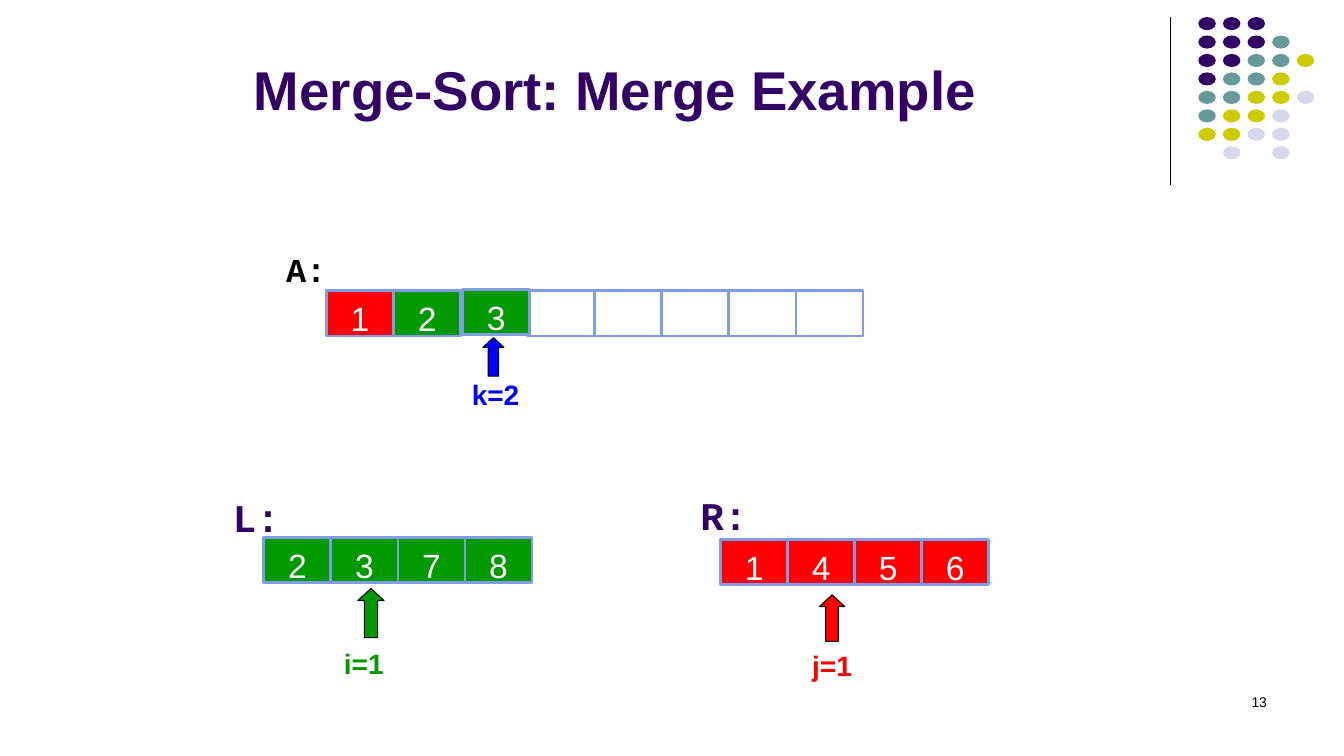
from lxml.etree import SubElement
from pptx import Presentation
from pptx.dml.color import RGBColor
from pptx.enum.shapes import MSO_CONNECTOR, MSO_SHAPE as SHAPE
from pptx.enum.text import MSO_ANCHOR as ANCHOR, PP_ALIGN as ALIGN
from pptx.oxml.ns import qn
from pptx.util import Cm, Pt

PURPLE, TEAL, OLIVE, LILAC = "330066", "669999", "CCCC00", "D8D8EC"
RED, GREEN, BLUE, WHITE, BLACK = "FF0000", "009900", "0000FF", "FFFFFF", "000000"
CELL_LINE = "7E9CE8"
CELL_W, CELL_H = 1.69, 1.15


def add_block(kind, x, y, w, h, fill, line=None, line_width=0.75):
    sp = s.shapes.add_shape(kind, Cm(x), Cm(y), Cm(w), Cm(h))
    sp.shadow.inherit = False
    sp.fill.solid()
    sp.fill.fore_color.rgb = RGBColor.from_string(fill)
    if line:
        sp.line.color.rgb = RGBColor.from_string(line)
        sp.line.width = Pt(line_width)
    else:
        sp.line.fill.background()
    return sp


def write(text, box=None, sp=None, size=24, color=WHITE, bold=False, font="Arial",
          align=ALIGN.CENTER, anchor=ANCHOR.TOP, side=0.25, top=0.13, bottom=0.13):
    """Write into the shape sp, or into a new text box at box (x, y, w, h)."""
    sp = sp or s.shapes.add_textbox(*[Cm(v) for v in box])
    tf = sp.text_frame
    tf.word_wrap = True
    tf.vertical_anchor = anchor
    tf.margin_left = tf.margin_right = Cm(side)
    tf.margin_top, tf.margin_bottom = Cm(top), Cm(bottom)
    p = tf.paragraphs[0]
    p.alignment = align
    r = p.add_run()
    r.text = text
    r.font.name, r.font.size, r.font.bold = font, Pt(size), bold
    r.font.color.rgb = RGBColor.from_string(color)


prs = Presentation()
prs.slide_width, prs.slide_height = Cm(33.87), Cm(19.05)
s = prs.slides.add_slide(prs.slide_layouts[6])

# Corner decoration: a rule and a grid of dots
rule = s.shapes.add_connector(MSO_CONNECTOR.STRAIGHT, Cm(29.49), Cm(0.43), Cm(29.49), Cm(4.65))
rule.line.color.rgb = RGBColor.from_string(BLACK)
rule.line.width = Pt(0.75)
SubElement(rule._element.spPr, qn("a:effectLst"))

dot_colors = {"P": PURPLE, "T": TEAL, "O": OLIVE, "L": LILAC}
dot_rows = ["PPP", "PPPT", "PPTTO", "PTTO", "TTOOL", "TOOL", "OOLL", ".L.L"]
for row, dots in enumerate(dot_rows):
    for col, dot in enumerate(dots):
        if dot in dot_colors:
            add_block(SHAPE.OVAL, 30.2 + col * 0.62, 0.43 + row * 0.465, 0.44, 0.33,
                      dot_colors[dot])

write("13", box=(24.28, 17.35, 7.9, 1.27), size=10, color=BLACK, align=ALIGN.RIGHT)
write("Merge-Sort: Merge Example", box=(6.15, 0, 21.59, 3.18), size=39, color=PURPLE,
      bold=True, align=ALIGN.LEFT, anchor=ANCHOR.BOTTOM)

# Arrays: left, top, then value and fill of each cell
arrays = [
    (8.23, 7.32, [("1", RED), ("2", GREEN)]),
    (11.61 + 2 * CELL_W - CELL_W, 7.32, [("", WHITE)] * 5),
    (11.66, 7.29, [("3", GREEN)]),  # the cell just merged, slightly raised
    (6.65, 13.54, [(v, GREEN) for v in "2378"]),
    (18.16, 13.59, [(v, RED) for v in "1456"]),
]
for x, y, cells in arrays:
    for i, (value, fill) in enumerate(cells):
        cell = add_block(SHAPE.RECTANGLE, x + i * CELL_W, y, CELL_W, CELL_H, fill, CELL_LINE, 2)
        if value:
            write(value, sp=cell, top=0.19, bottom=0)

# Array names
for name, x, y, w, h, size, color, side in [
    ("A:", 6.96, 5.97, 1.75, 1.3, 24, BLACK, 0.25),
    ("L:", 5.87, 12.12, 1.25, 1.45, 28, PURPLE, 0),
    ("R:", 17.65, 12.07, 1.25, 1.45, 28, PURPLE, 0),
]:
    write(name, box=(x, y, w, h), size=size, color=color, bold=True, font="Courier New",
          align=ALIGN.LEFT, side=side, top=0.3, bottom=0)

# Index pointers: label, its box, then the arrow's box
for label, color, box, arrow in [
    ("k=2", BLUE, (11.46, 9.32, 2.06, 1.09), (12.17, 8.51, 0.53, 0.97)),
    ("i=1", GREEN, (8.56, 16.1, 1.22, 1.09), (9.02, 14.83, 0.66, 1.24)),
    ("j=1", RED, (20.02, 16.15, 1.9, 1.09), (20.65, 14.99, 0.64, 1.17)),
]:
    write(label, box=box, size=20, color=color, bold=True, side=0, top=0.2, bottom=0)
    pointer = add_block(SHAPE.UP_ARROW, *arrow, color, BLACK)
    pointer.adjustments[0], pointer.adjustments[1] = 0.5, 0.46

prs.save("out.pptx")
